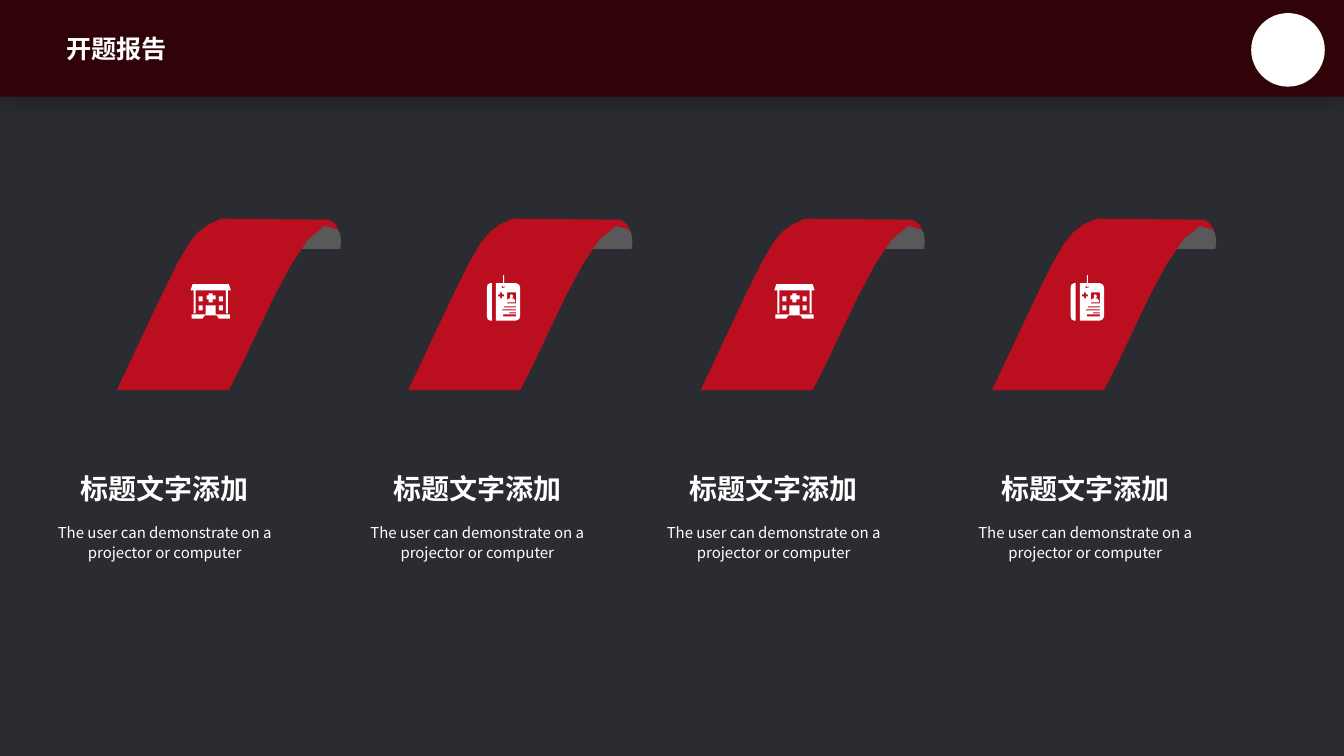
"""Build a slide with a header band and four curled ribbons with captions."""
from dataclasses import dataclass

from lxml import etree
from pptx import Presentation
from pptx.dml.color import RGBColor
from pptx.enum.shapes import MSO_SHAPE
from pptx.enum.text import MSO_AUTO_SIZE, PP_ALIGN
from pptx.oxml import parse_xml
from pptx.oxml.ns import qn
from pptx.util import Inches, Pt

RECT, OVAL = MSO_SHAPE.RECTANGLE, MSO_SHAPE.OVAL
LEFT, CENTER = PP_ALIGN.LEFT, PP_ALIGN.CENTER
GROW = MSO_AUTO_SIZE.SHAPE_TO_FIT_TEXT
FONT = "Noto Sans CJK SC"
COLORS = {
    "background": "2B2C31",
    "header": "2F0307",
    "ribbon": "BB0E1F",
    "curl": "595959",
    "white": "FFFFFF",
}
SHADOW = (
    '<a:effectLst xmlns:a="http://schemas.openxmlformats.org/drawingml/2006/main">'
    '<a:outerShdw blurRad="177800" dist="76200" dir="5400000" algn="t" rotWithShape="0">'
    '<a:srgbClr val="000000"><a:alpha val="20000"/></a:srgbClr>'
    "</a:outerShdw></a:effectLst>"
)
RIBBON_STEPS, ICON_STEPS = 7, 2
RIBBON_TOP = 2.17

Contour = list[tuple[float, ...]]


@dataclass(frozen=True)
class Icon:
    dx: float
    top: float
    contours: list[Contour]


@dataclass(frozen=True)
class Panel:
    ribbon_left: float
    caption_left: float
    icon: Icon
    title: str = "标题文字添加"
    body: str = "The user can demonstrate on a projector or computer"


def box(x1: float, y1: float, x2: float, y2: float) -> Contour:
    return [(x1, y1), (x2, y1), (x2, y2), (x1, y2)]


def cross(x: tuple[float, ...], y: tuple[float, ...]) -> Contour:
    return [(x[1], y[0]), (x[1], y[1]), (x[0], y[1]), (x[0], y[2]),
            (x[1], y[2]), (x[1], y[3]), (x[2], y[3]), (x[2], y[2]),
            (x[3], y[2]), (x[3], y[1]), (x[2], y[1]), (x[2], y[0])]


RIBBON: Contour = [
    (0, 1.7), (0.72, 0.18, 0.7, 0.14, 1.03, 0), (2.1, 0.01),
    (2.16, 0.04, 2.17, 0.06, 2.2, 0.11), (1.9, -0.21, 1.39, 1.21, 1.11, 1.7),
]
CURL: Contour = [
    (2.21, 0.3), (2.22, 0.29, 2.23, 0.22, 2.21, 0.14),
    (2.11, -0.13, 1.83, 0.25, 1.79, 0.3),
]
HOSPITAL = Icon(0.73, 2.82, [
    [(0.37, 0.06), (0.37, 0.29), (0.35, 0.29), (0.35, 0.06), (0.05, 0.06),
     (0.05, 0.29), (0.03, 0.29), (0.03, 0.06), (0, 0.06), (0.02, 0),
     (0.38, 0), (0.4, 0.06)],
    cross((0.16, 0.18, 0.22, 0.25), (0.09, 0.11, 0.15, 0.18)),
    [(0.15, 0.21), (0.15, 0.3), (0.01, 0.3), (0.01, 0.34), (0.12, 0.34),
     (0.14, 0.31), (0.26, 0.31), (0.28, 0.34), (0.39, 0.34), (0.39, 0.3),
     (0.25, 0.3), (0.25, 0.21)],
    *(box(x, y, x + 0.04, y + 0.05) for x in (0.08, 0.28) for y in (0.12, 0.21)),
])
BADGE = Icon(0.78, 2.73, [
    [(0.33, 0.12), (0.33, 0.1, 0.31, 0.08, 0.29, 0.08), (0.17, 0.08),
     (0.17, 0), (0.16, 0), (0.16, 0.08), (0.09, 0.08), (0.09, 0.45),
     (0.29, 0.45), (0.31, 0.45, 0.33, 0.43, 0.33, 0.41)],
    [(0.05, 0.08), (0.03, 0.08), (0.01, 0.08, 0, 0.1, 0, 0.12), (0, 0.41),
     (0, 0.43, 0.01, 0.45, 0.03, 0.45), (0.05, 0.45)],
    box(0.2, 0.17, 0.29, 0.28),
    box(0.17, 0.31, 0.29, 0.32),
    box(0.15, 0.34, 0.29, 0.35),
    box(0.22, 0.37, 0.29, 0.38),
    box(0.16, 0.39, 0.29, 0.41),
    cross((0.11, 0.13, 0.15, 0.17), (0.17, 0.19, 0.21, 0.23)),
    [(0.18, 0.12), (0.16, 0.13), (0.14, 0.12), (0.16, 0.1), (0.16, 0.12),
     (0.17, 0.12), (0.17, 0.1)],
    [(0.24, 0.23), (0.25, 0.23, 0.26, 0.22, 0.26, 0.21),
     (0.26, 0.2, 0.25, 0.19, 0.24, 0.19), (0.23, 0.19, 0.23, 0.2, 0.23, 0.21),
     (0.23, 0.22, 0.23, 0.23, 0.24, 0.23)],
    [(0.22, 0.23), (0.2, 0.25), (0.2, 0.27), (0.28, 0.27), (0.28, 0.25), (0.26, 0.23)],
])
PANELS = [
    Panel(1.16, 0.47, HOSPITAL),
    Panel(4.05, 3.57, BADGE),
    Panel(6.95, 6.51, HOSPITAL),
    Panel(9.84, 9.6, BADGE),
]


def flatten(contour: Contour, steps: int) -> list[tuple[float, ...]]:
    points = [contour[0]]
    for seg in contour[1:]:
        if len(seg) == 2:
            points.append(seg)
            continue
        start = points[-1]
        for step in range(1, steps + 1):
            t = step / steps
            u = 1 - t
            points.append(tuple(
                u**3 * start[i] + 3 * u * u * t * seg[i]
                + 3 * u * t * t * seg[i + 2] + t**3 * seg[i + 4]
                for i in (0, 1)))
    return points


def paint(sp, color: str) -> None:
    sp.shadow.inherit = False
    sp.fill.solid()
    sp.fill.fore_color.rgb = RGBColor.from_string(COLORS[color])
    sp.line.fill.background()


def add_outline(shapes, contours: list[Contour], left: float, top: float,
                color: str, steps: int) -> None:
    builder = None
    for contour in contours:
        points = [(Inches(left + x), Inches(top + y)) for x, y in flatten(contour, steps)]
        if builder is None:
            builder = shapes.build_freeform(*points[0])
        else:
            builder.move_to(*points[0])
        builder.add_line_segments(points[1:], close=True)
    paint(builder.convert_to_shape(), color)


def add_shape(shapes, kind, left: float, top: float, width: float, height: float, color: str):
    sp = shapes.add_shape(kind, Inches(left), Inches(top), Inches(width), Inches(height))
    paint(sp, color)
    return sp


def add_text(shapes, text: str, *, left: float, top: float, width: float, height: float,
             size: float, bold: bool = False, align=CENTER, wrap: bool = True,
             spacing: float = 1.0) -> None:
    sp = shapes.add_textbox(Inches(left), Inches(top), Inches(width), Inches(height))
    tf = sp.text_frame
    tf.word_wrap = wrap
    tf.auto_size = GROW
    p = tf.paragraphs[0]
    p.alignment = align
    p.line_spacing = spacing
    r = p.add_run()
    r.text = text
    r.font.size = Pt(size)
    r.font.bold = bold
    r.font.name = FONT
    r.font.color.rgb = RGBColor.from_string(COLORS["white"])
    etree.SubElement(r.font._element, qn("a:ea")).set("typeface", FONT)


def add_ribbon(s, panel: Panel) -> None:
    shapes = s.shapes.add_group_shape().shapes
    left, icon = panel.ribbon_left, panel.icon
    add_outline(shapes, [CURL], left, RIBBON_TOP, "curl", RIBBON_STEPS)
    add_outline(shapes, [RIBBON], left, RIBBON_TOP, "ribbon", RIBBON_STEPS)
    add_outline(shapes, icon.contours, left + icon.dx, icon.top, "white", ICON_STEPS)


def add_caption(s, panel: Panel) -> None:
    shapes = s.shapes.add_group_shape().shapes
    add_text(shapes, panel.title, left=panel.caption_left, top=4.63,
             width=2.33, height=0.44, size=20, bold=True)
    add_text(shapes, panel.body, left=panel.caption_left - 0.12, top=5.12,
             width=2.57, height=0.51, size=10.7, spacing=1.14)


def main() -> None:
    prs = Presentation()
    prs.slide_width, prs.slide_height = Inches(13.33), Inches(7.5)
    s = prs.slides.add_slide(prs.slide_layouts[6])
    s.background.fill.solid()
    s.background.fill.fore_color.rgb = RGBColor.from_string(COLORS["background"])
    header = add_shape(s.shapes, RECT, 0, 0, 13.33, 0.96, "header")
    props = header._element.spPr
    props.replace(props.find(qn("a:effectLst")), parse_xml(SHADOW))
    add_text(s.shapes, "开题报告", left=0.56, top=0.28, width=1.21, height=0.4,
             size=18, bold=True, align=LEFT, wrap=False)
    for panel in PANELS:
        add_ribbon(s, panel)
    for panel in PANELS:
        add_caption(s, panel)
    add_shape(s.shapes, OVAL, 12.41, 0.13, 0.73, 0.73, "white")
    prs.save("out.pptx")


if __name__ == "__main__":
    main()
